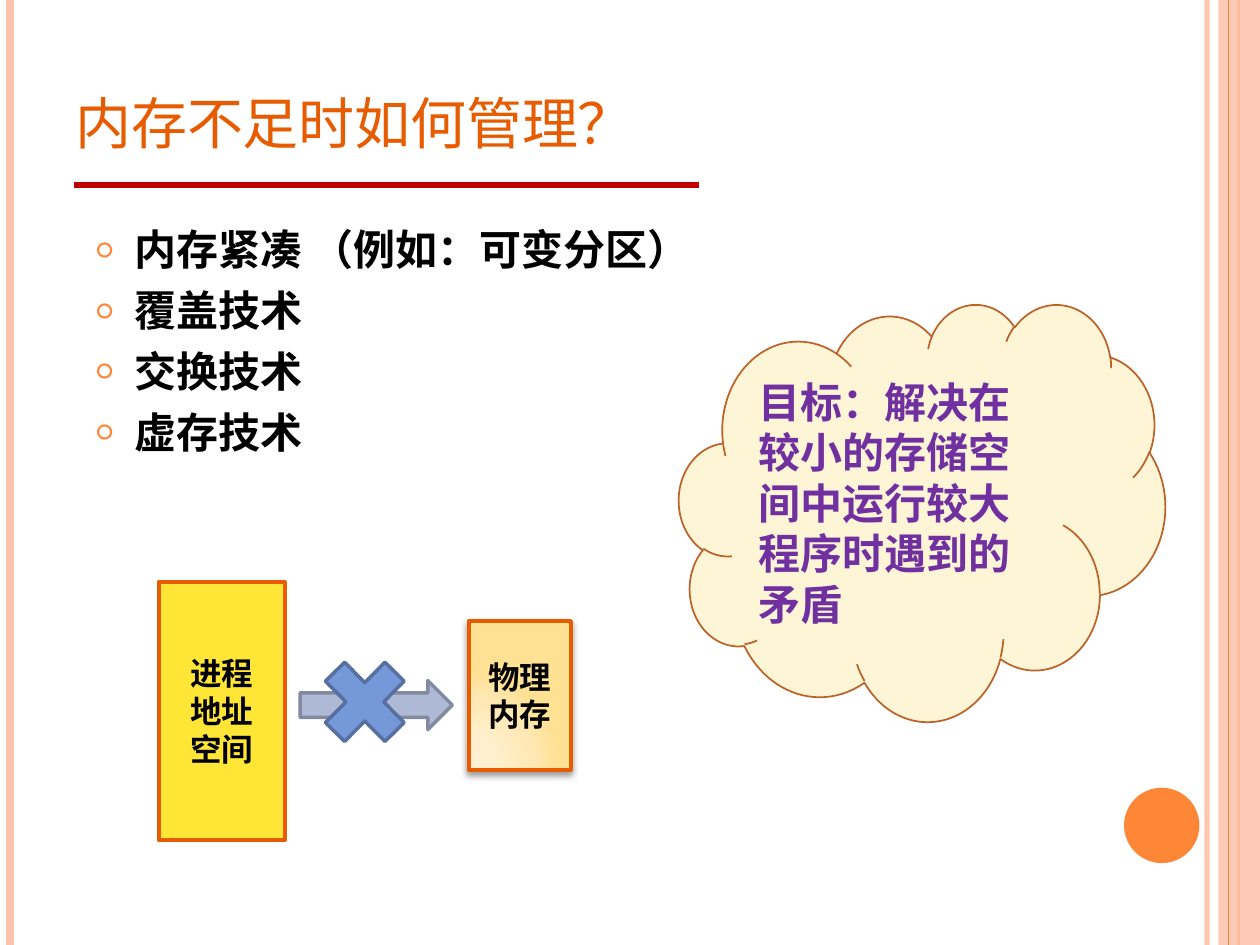
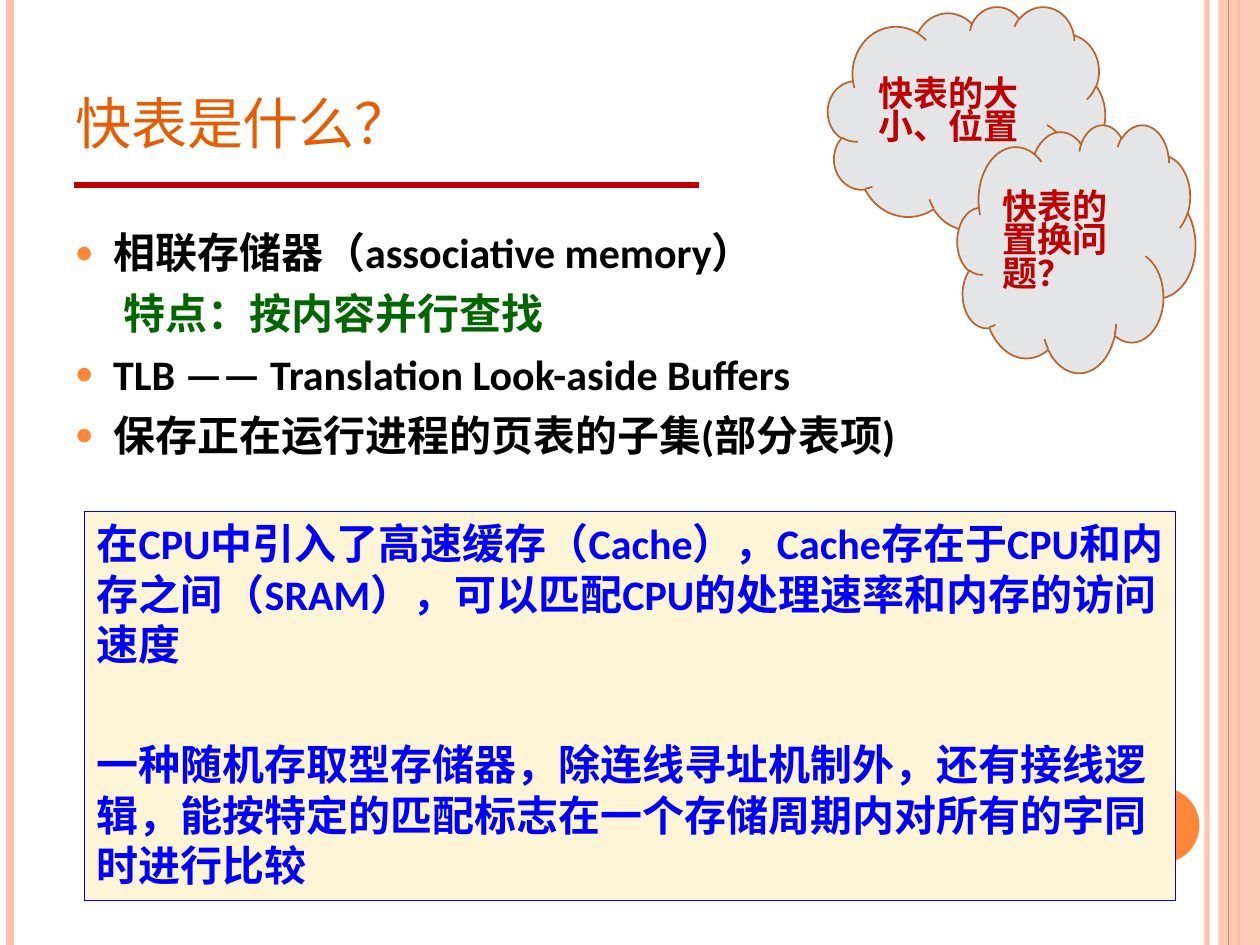
from lxml import etree
from pptx import Presentation
from pptx import oxml
from pptx import util as u
from pptx.dml.color import RGBColor
from pptx.enum import shapes, text
from pptx.oxml import ns

ORANGE = RGBColor(0xFE, 0x86, 0x37)
PEACH = RGBColor(0xFE, 0xC3, 0xAE)
DARK_ORANGE = RGBColor(0xE7, 0x5C, 0x01)
BROWN = RGBColor(0xBC, 0x63, 0x29)
RED = RGBColor(0xC0, 0x00, 0x00)
PURPLE = RGBColor(0x70, 0x30, 0xA0)
GREEN = RGBColor(0x00, 0x66, 0x00)
BLUE = RGBColor(0x00, 0x00, 0xFF)
BLACK = RGBColor(0x00, 0x00, 0x00)
CREAM = RGBColor(0xFD, 0xF5, 0xD5)
GREY = RGBColor(0xE4, 0xE5, 0xE6)
YELLOW = RGBColor(0xFF, 0xE6, 0x36)
ARROW_FILL = RGBColor(0xAE, 0xBA, 0xD5)
ARROW_LINE = RGBColor(0x81, 0x8A, 0x9E)
CROSS_FILL = RGBColor(0x75, 0x98, 0xD9)
CROSS_LINE = RGBColor(0x57, 0x70, 0xA1)
MEMORY_STOPS = [(0, "FFF0D1"), (30, "FFEFCC"), (75, "FFE7B1"), (100, "FFE193")]

CHINESE_FONT = "Noto Sans CJK SC"
LATIN_FONT = "Calibri"
WIDTH, HEIGHT = 25.4, 19.05
SHAPE = shapes.MSO_SHAPE


def lengths(*values):
    return [u.Cm(value) for value in values]


def add_child(parent, tag, **attributes):
    return etree.SubElement(parent, ns.qn(tag), attributes)


def set_alpha(fill_owner, percent):
    color = next(fill_owner.iter(ns.qn("a:srgbClr")))
    add_child(color, "a:alpha", val=str(percent * 1000))


def add_line(slide, start, end, color, width, alpha=None):
    line = slide.shapes.add_connector(
        shapes.MSO_CONNECTOR.STRAIGHT, *lengths(*start, *end))
    line.line.color.rgb = color
    line.line.width = u.Pt(width)
    properties = line._element.spPr
    if alpha:
        set_alpha(properties, alpha)
    add_child(properties, "a:effectLst")


def add_shape(slide, kind, box, fill, line=None, width=1.0):
    shape = slide.shapes.add_shape(kind, *lengths(*box))
    shape.shadow.inherit = False
    shape.fill.solid()
    shape.fill.fore_color.rgb = fill
    if line is None:
        shape.line.fill.background()
    else:
        shape.line.color.rgb = line
        shape.line.width = u.Pt(width)
    return shape


def add_run(paragraph, words, size, color, bold=True, latin=CHINESE_FONT):
    run = paragraph.add_run()
    run.text = words
    run.font.size = u.Pt(size)
    run.font.bold = bold
    run.font.color.rgb = color
    run.font.name = latin
    add_child(run._r.get_or_add_rPr(), "a:ea", typeface=CHINESE_FONT)
    return run


def write(shape, lines, size, color, align=text.PP_ALIGN.LEFT,
          anchor=text.MSO_ANCHOR.MIDDLE, spacing=None, before=(), latin=CHINESE_FONT):
    frame = shape.text_frame
    frame.word_wrap = True
    frame.vertical_anchor = anchor
    for index, words in enumerate(lines):
        paragraph = frame.add_paragraph() if index else frame.paragraphs[0]
        paragraph.alignment = align
        paragraph.line_spacing = spacing
        if before:
            paragraph.space_before = u.Pt(before[index])
        add_run(paragraph, words, size, color, latin=latin)


def set_indent(paragraph, left, bullet=None):
    properties = paragraph._p.get_or_add_pPr()
    properties.set("marL", str(u.Cm(left)))
    properties.set("indent", str(-u.Cm(left) if bullet else 0))
    if bullet:
        color = add_child(properties, "a:buClr")
        add_child(color, "a:srgbClr", val=str(ORANGE))
        add_child(properties, "a:buSzPct", val="70000")
        add_child(properties, "a:buFont", typeface=LATIN_FONT)
        add_child(properties, "a:buChar", char=bullet)


def add_bullets(slide, box, lines, latin=CHINESE_FONT):
    frame = slide.shapes.add_textbox(*lengths(*box)).text_frame
    frame.word_wrap = True
    for index, (words, bullet, color) in enumerate(lines):
        paragraph = frame.add_paragraph() if index else frame.paragraphs[0]
        paragraph.space_before = u.Pt(6)
        set_indent(paragraph, 0.76 if bullet else 0.97, bullet)
        add_run(paragraph, words, 24, color, latin=latin)


def add_title(slide, words):
    frame = slide.shapes.add_textbox(*lengths(1.27, 0.76, 20.75, 2.57)).text_frame
    frame.word_wrap = True
    frame.vertical_anchor = text.MSO_ANCHOR.BOTTOM
    run = add_run(frame.paragraphs[0], words, 40, DARK_ORANGE, bold=False)
    run._r.rPr.set("cap", "small")


def add_band(slide, x, color, width, alpha=None):
    add_line(slide, (x, 0), (x, HEIGHT), color, width, alpha)


def add_titled_slide(presentation, title):
    slide = presentation.slides.add_slide(presentation.slide_layouts[6])
    add_band(slide, 24.33, PEACH, 3, 93)
    add_band(slide, 0.2, PEACH, 4.5)
    add_band(slide, 24.97, ORANGE, 1.5)
    side_band = add_shape(slide, SHAPE.RECTANGLE, (24.56, 0, 0.84, HEIGHT), PEACH)
    set_alpha(side_band._element.spPr, 87)
    add_band(slide, 24.77, ORANGE, 0.75)
    add_shape(slide, SHAPE.OVAL, (22.66, 15.88, 1.52, 1.52), ORANGE)
    add_line(slide, (1.5, 3.73), (14.1, 3.73), RED, 3)
    add_title(slide, title)
    return slide


def add_cloud(slide, box, fill, words, size, color, spacing=None):
    cloud = add_shape(slide, SHAPE.CLOUD, box, fill, BROWN)
    write(cloud, [words], size, color, spacing=spacing)


def add_block(slide, box, fill, lines):
    block = add_shape(slide, SHAPE.RECTANGLE, box, fill, DARK_ORANGE, 2.25)
    frame = block.text_frame
    frame.margin_left = frame.margin_right = u.Cm(0.18)
    frame.margin_top = frame.margin_bottom = u.Cm(0.1)
    write(block, lines, 18, BLACK, align=text.PP_ALIGN.CENTER)
    return block


def apply_glow_gradient(shape, stops):
    properties = shape._element.spPr
    solid = properties.find(ns.qn("a:solidFill"))
    gradient = oxml.parse_xml(f'<a:gradFill {ns.nsdecls("a")} rotWithShape="1"/>')
    stop_list = add_child(gradient, "a:gsLst")
    for position, color in stops:
        stop = add_child(stop_list, "a:gs", pos=str(position * 1000))
        add_child(stop, "a:srgbClr", val=color)
    circle = add_child(gradient, "a:path", path="circle")
    add_child(circle, "a:fillToRect", l="5000", t="100000", r="120000", b="10000")
    properties.replace(solid, gradient)


def apply_shadow(shape):
    effects = shape._element.spPr.find(ns.qn("a:effectLst"))
    shadow = add_child(effects, "a:outerShdw", blurRad=str(u.Pt(4)), dist=str(u.Pt(2)),
                       dir="5400000", rotWithShape="0")
    color = add_child(shadow, "a:srgbClr", val=str(BLACK))
    add_child(color, "a:alpha", val="40000")


def build_shortage_slide(presentation):
    slide = add_titled_slide(presentation, "内存不足时如何管理？")
    techniques = ["内存紧凑 （例如：可变分区）", "覆盖技术", "交换技术", "虚存技术"]
    add_bullets(slide, (1.7, 4.39, 20.83, 13.34),
                [(words, "○", BLACK) for words in techniques])
    add_cloud(slide, (13.69, 6.12, 9.8, 8.41), CREAM,
              "目标：解决在较小的存储空间中运行较大程序时遇到的矛盾", 24, PURPLE)
    add_block(slide, (3.2, 11.73, 2.54, 5.21), YELLOW, ["进程", "地址", "空间"])
    memory = add_block(slide, (9.45, 12.52, 2.06, 3), CREAM, ["物理", "内存"])
    apply_glow_gradient(memory, MEMORY_STOPS)
    apply_shadow(memory)
    add_shape(slide, SHAPE.RIGHT_ARROW, (6.05, 13.72, 3.07, 0.99),
              ARROW_FILL, ARROW_LINE, 2)
    add_shape(slide, SHAPE.MATH_MULTIPLY, (6.2, 12.98, 2.31, 2.34),
              CROSS_FILL, CROSS_LINE, 2)


def build_tlb_slide(presentation):
    slide = add_titled_slide(presentation, "快表是什么？")
    add_cloud(slide, (16.69, 0.13, 5.59, 4.5), GREY, "快表的大小、位置", 20, RED, 0.8)
    add_bullets(slide, (1.27, 4.45, 20.75, 13.54), [
        ("相联存储器（associative memory）", "●", BLACK),
        ("特点：按内容并行查找", None, GREEN),
        ("TLB —— Translation Look-aside Buffers", "●", BLACK),
        ("保存正在运行进程的页表的子集(部分表项)", "●", BLACK),
    ], LATIN_FONT)
    add_cloud(slide, (19.3, 2.51, 4.8, 5), GREY, "快表的置换问题？", 20, RED, 0.8)
    cache_note = add_shape(slide, SHAPE.RECTANGLE, (1.7, 10.31, 22, 7.85),
                           CREAM, BLUE, 0.75)
    write(cache_note, [
        "在CPU中引入了高速缓存（Cache），Cache存在于CPU和内存之间（SRAM），"
        "可以匹配CPU的处理速率和内存的访问速度",
        "一种随机存取型存储器，除连线寻址机制外，还有接线逻辑，"
        "能按特定的匹配标志在一个存储周期内对所有的字同时进行比较",
    ], 24, BLUE, anchor=text.MSO_ANCHOR.TOP, before=(6, 40), latin=LATIN_FONT)


def main():
    presentation = Presentation()
    presentation.slide_width, presentation.slide_height = lengths(WIDTH, HEIGHT)
    build_shortage_slide(presentation)
    build_tlb_slide(presentation)
    presentation.save("out.pptx")


if __name__ == "__main__":
    main()
